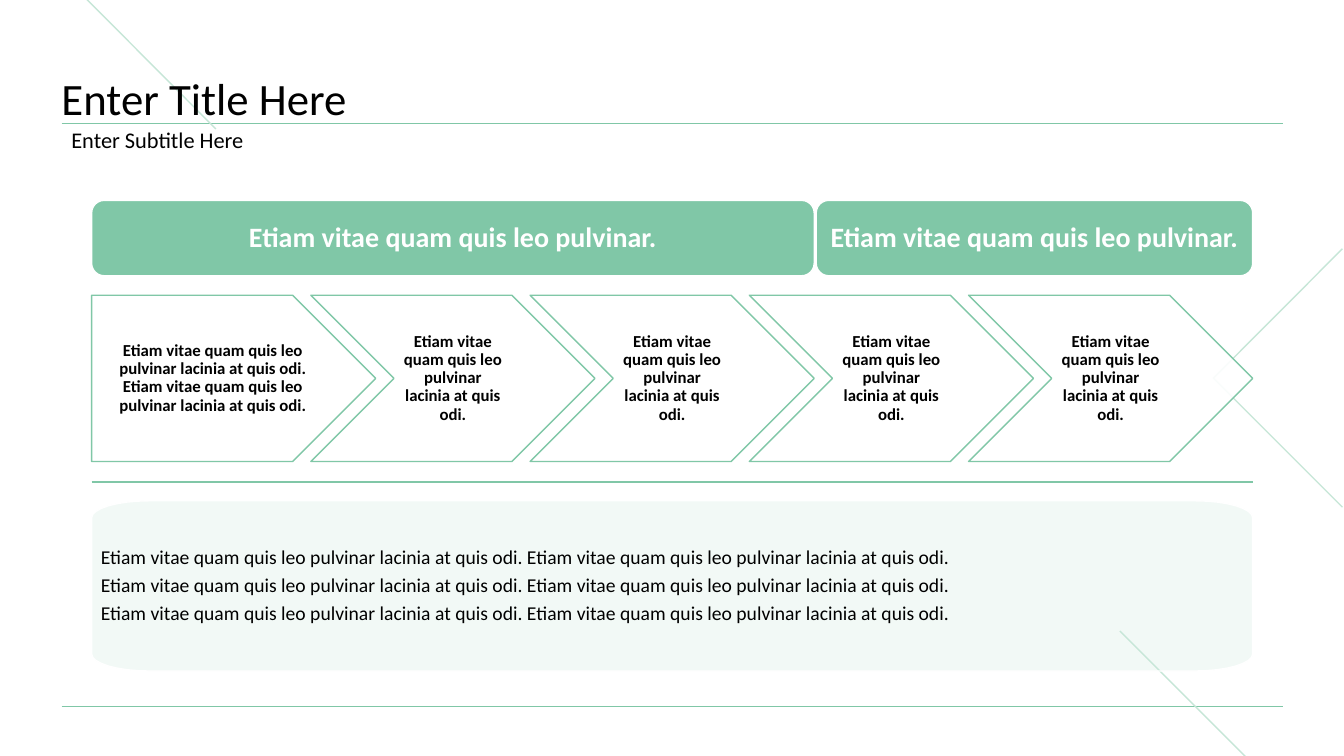
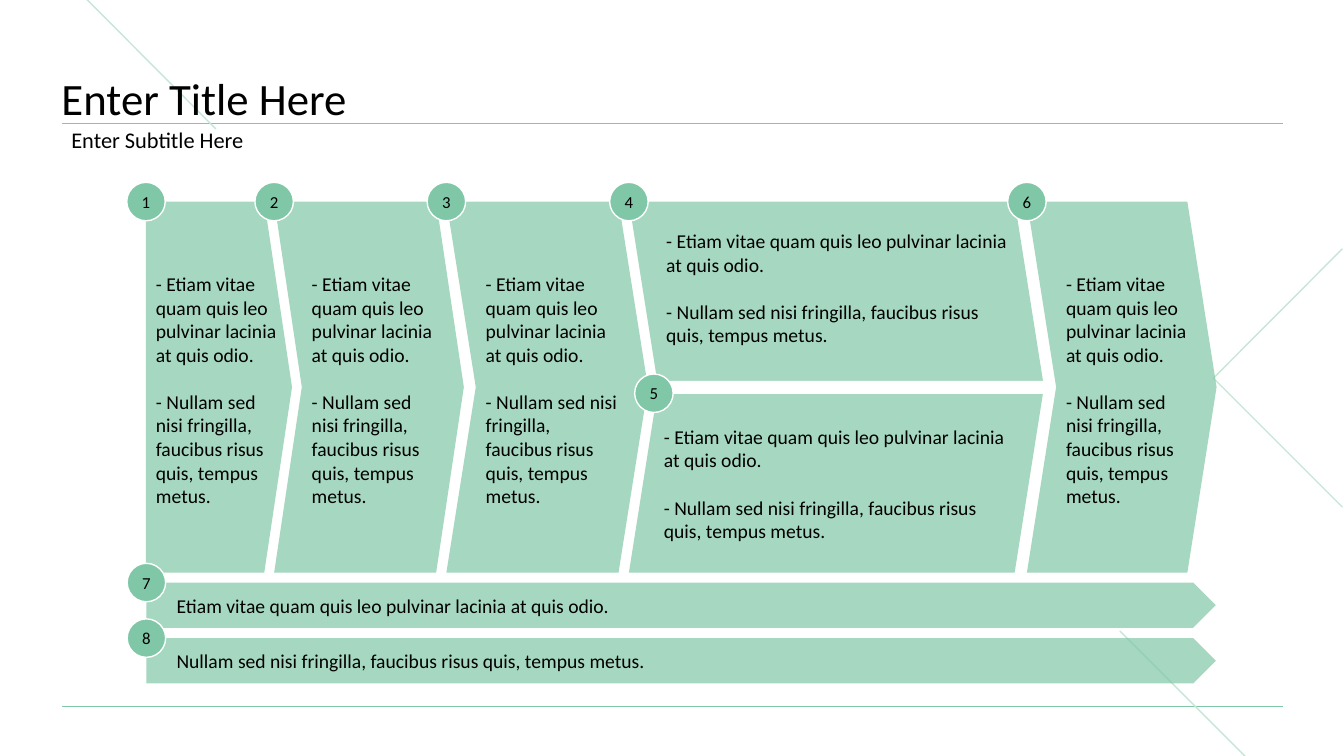
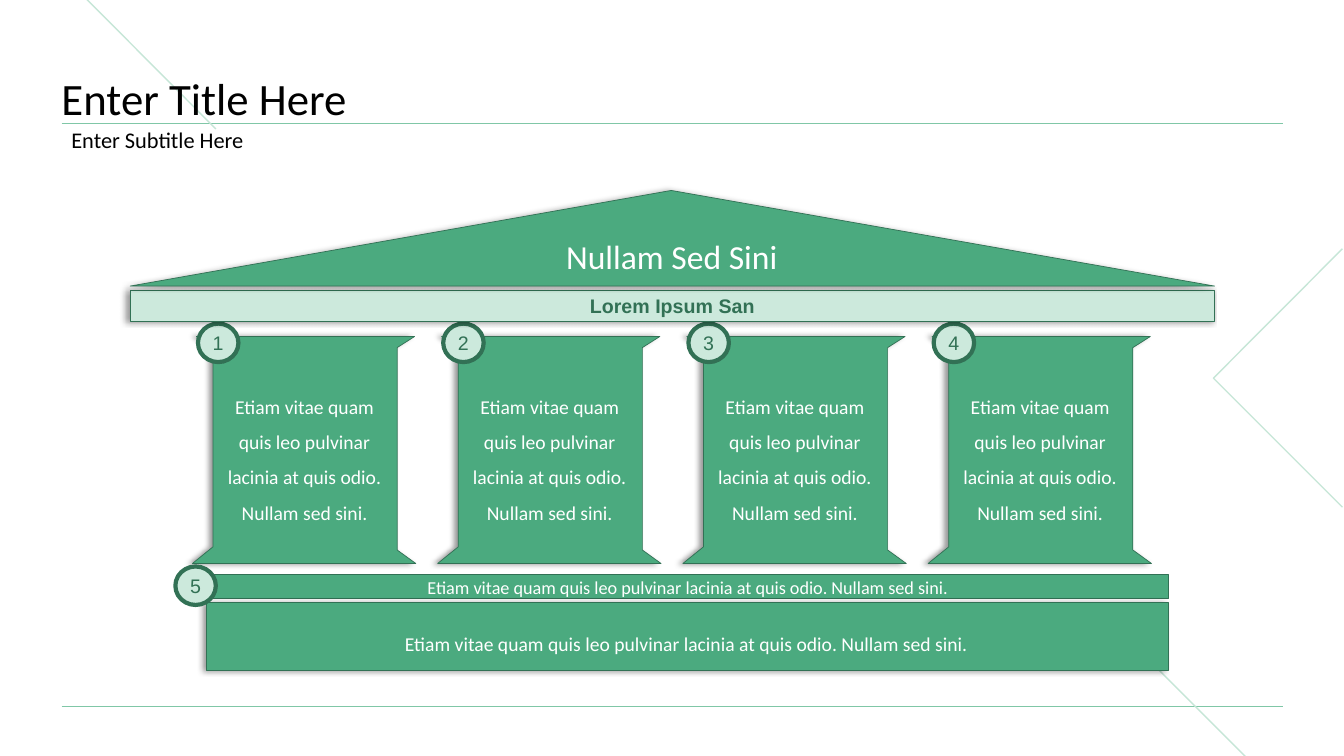
from math import cos, pi, sin

from lxml.etree import SubElement
from pptx import Presentation
from pptx.dml.color import RGBColor as RGB
from pptx.enum.shapes import MSO_CONNECTOR as LINK, MSO_SHAPE as KIND
from pptx.enum.text import MSO_ANCHOR as ANCHOR, PP_ALIGN as ALIGN
from pptx.oxml.ns import qn
from pptx.util import Cm, Pt

GREEN = RGB(0x80, 0xC7, 0xA7)
DEEP = RGB(0x4B, 0xAA, 0x7F)
DARK = RGB(0x32, 0x71, 0x55)
PALE = RGB(0xCC, 0xE9, 0xDC)
FAINT = RGB(0xC6, 0xE6, 0xD7)
WHITE = RGB(0xFF, 0xFF, 0xFF)
BLACK = RGB(0, 0, 0)

LEFT, MID = ALIGN.LEFT, ALIGN.CENTER
TOP, CENTRE, BOTTOM = ANCHOR.TOP, ANCHOR.MIDDLE, ANCHOR.BOTTOM

ETIAM = "Etiam vitae quam quis leo pulvinar"
ODI = ETIAM + " lacinia at quis odi."
ODIO = ETIAM + " lacinia at quis odio."
NULLAM = "Nullam sed nisi fringilla, faucibus risus quis, tempus metus."
SINI = ODIO + " Nullam sed sini."
NOTES = ["- " + ODIO, "- " + NULLAM]


# Basic parts; all lengths are in centimetres
def put(shape, text, size=14, color=BLACK, font="Calibri", bold=False,
        align=LEFT, anchor=CENTRE, inset=(0.25, 0.13, 0.25, 0.13),
        lead=1.0, gap=0, wrap=True):
    """Fill a shape with one paragraph, or with a list of them gap points apart."""
    frame = shape.text_frame
    frame.word_wrap = wrap
    frame.vertical_anchor = anchor
    (frame.margin_left, frame.margin_top,
     frame.margin_right, frame.margin_bottom) = map(Cm, inset)
    lines = [text] if isinstance(text, str) else text
    for i, line in enumerate(lines):
        para = frame.add_paragraph() if i else frame.paragraphs[0]
        para.alignment = align
        para.line_spacing = lead
        para.space_before = Pt(gap if i else 0)
        run = para.add_run()
        run.text = line
        run.font.size = Pt(size)
        run.font.name = font
        run.font.bold = bold
        run.font.color.rgb = color
    return shape


def paint(shape, fill=None, alpha=100, line=None, width=1, shade=False):
    shape.shadow.inherit = False
    if fill is None:
        shape.fill.background()
    else:
        shape.fill.solid()
        shape.fill.fore_color.rgb = fill
    if line is None:
        shape.line.fill.background()
    else:
        shape.line.color.rgb = line
        shape.line.width = Pt(width)
    props = shape.element.spPr
    if alpha < 100:
        tint = props.find(qn("a:solidFill")).find(qn("a:srgbClr"))
        SubElement(tint, qn("a:alpha"), val=str(alpha * 1000))
    if shade:
        cast = SubElement(props.find(qn("a:effectLst")), qn("a:outerShdw"),
                          blurRad=str(Pt(4)), dist=str(Pt(3)),
                          dir="10800000", algn="r", rotWithShape="0")
        tone = SubElement(cast, qn("a:srgbClr"), val="000000")
        SubElement(tone, qn("a:alpha"), val="40000")
    return shape


def block(slide, kind, x, y, w, h, adj=None, **look):
    shape = slide.shapes.add_shape(kind, Cm(x), Cm(y), Cm(w), Cm(h))
    if adj is not None:
        shape.adjustments[0] = adj
    return paint(shape, **look)


def label(slide, text, x, y, w, h, **form):
    box = slide.shapes.add_textbox(Cm(x), Cm(y), Cm(w), Cm(h))
    return put(box, text, **form)


def rule(slide, x1, y1, x2, y2, color=GREEN, width=0.5):
    line = slide.shapes.add_connector(LINK.STRAIGHT, Cm(x1), Cm(y1), Cm(x2), Cm(y2))
    line.line.color.rgb = color
    line.line.width = Pt(width)
    SubElement(line.element.spPr, qn("a:effectLst"))


def trace(slide, points, close=True, **look):
    spots = [(Cm(x), Cm(y)) for x, y in points]
    pen = slide.shapes.build_freeform(*spots[0])
    pen.add_line_segments(spots[1:], close=close)
    return paint(pen.convert_to_shape(), **look)


def badge(slide, text, cx, cy, w=0.97, h=0.97, fill=GREEN, line=WHITE, width=1, **form):
    dot = block(slide, KIND.OVAL, cx - w / 2, cy - h / 2, w, h,
                fill=fill, line=line, width=width)
    put(dot, text, align=MID, inset=(0, 0, 0, 0), **form)


# Shared frame: rules, slanted lines, title and subtitle
def base(deck):
    slide = deck.slides.add_slide(deck.slide_layouts[6])
    x, w = 1.55, 30.78
    for y in (17.81, 3.12):
        rule(slide, x, y, x + w, y)
    rule(slide, 28.22, 15.9, 32.97, 20.65, FAINT, 1)
    rule(slide, 0.71, -1.5, 5.44, 3.25, FAINT, 1)
    trace(slide, [(33.83, 6.27), (30.58, 9.53), (33.83, 12.78)], close=False, line=FAINT)
    label(slide, "Enter Title Here", x, 1.12, w, 2.03, size=32,
          anchor=BOTTOM, inset=(0, 0, 0, 0), lead=0.9)
    label(slide, "Enter Subtitle Here", x, 3.12, w, 0.86, size=16, lead=0.9)
    return slide


# Slide 1: phase headings, row of arrows, summary panel
def heads(slide, x, y, w, h):
    first, gap = 18.21, 0.05
    for left, wide in ((x, first), (x + first + gap, w - first - gap)):
        bar = block(slide, KIND.ROUNDED_RECTANGLE, left, y, wide, h,
                    fill=GREEN, line=WHITE)
        put(bar, ETIAM + ".", size=20, color=WHITE, bold=True, align=MID,
            inset=(0.23, 0.18, 0.23, 0.18), lead=0.9)


def steps(slide, x, y, w, h, count=5):
    wide = 7.16
    pitch = (w - wide) / (count - 1)
    for i in range(count):
        kind = KIND.CHEVRON if i else KIND.PENTAGON
        arrow = block(slide, kind, x + i * pitch, y, wide, h,
                      fill=WHITE, alpha=90, line=GREEN)
        put(arrow, ODI if i else f"{ODI} {ODI}", size=12, bold=True, align=MID,
            inset=(0.2, 0.17, 0.2, 0.17), lead=0.9)


def panel(slide, x, y, w, h, rx=1.45, ry=0.43, parts=8):
    # Elliptical corners, clockwise from the top left
    hubs = [(x + rx, y + ry), (x + w - rx, y + ry),
            (x + w - rx, y + h - ry), (x + rx, y + h - ry)]
    points = []
    for turn, (cx, cy) in enumerate(hubs, 2):
        for i in range(parts + 1):
            angle = (turn + i / parts) * pi / 2
            points.append((cx + rx * cos(angle), cy + ry * sin(angle)))
    shape = trace(slide, points, fill=PALE, alpha=24, line=WHITE)
    put(shape, [f"{ODI} {ODI}"] * 3, inset=(0.23, 0.18, 0.23, 0.18), lead=0.9, gap=4.9)


def phases(deck):
    slide = base(deck)
    x, w = 2.31, 29.26
    heads(slide, x, 5.05, w, 1.9)
    steps(slide, x, 7.44, w, 4.19)
    panel(slide, x, 12.62, w, 4.29)
    rule(slide, x, 12.14, x + w, 12.14, width=1.5)


# Slide 2: numbered columns above two long arrows
def columns(slide, x, y, w, h):
    # number, left offset, width, point depth
    cols = [("1", 0, 3.68, 0.19), ("2", 3.23, 4.78, 0.146), ("3", 7.57, 5.08, 0.146),
            ("4", 12.17, 10.46, 0.079), ("6", 22.2, w - 22.2, 0.154)]
    for mark, dx, wide, adj in cols:
        kind = KIND.PENTAGON if mark == "1" else KIND.CHEVRON
        shape = block(slide, kind, x + dx, y, wide, h, adj, fill=GREEN, alpha=70)
        if mark != "4":
            put(shape, NOTES, inset=(0.25, 0.13, 0, 0), gap=17)
    # Column four is split in two
    block(slide, KIND.RECTANGLE, x + 12.83, y + 4.52, 9.91, 0.33, fill=WHITE)
    for mark, dx, *_ in cols:
        badge(slide, mark, x + dx, y, size=12)
    badge(slide, "5", x + 12.8, y + 4.83, size=12)
    for dx, dy in ((12.86, 0.56), (12.8, 5.49)):
        label(slide, NOTES, x + dx, y + dy, 9.35, 3.43, anchor=TOP, gap=17)


def lanes(slide, x, y, w, h):
    high, pitch = 1.14, h - 1.14
    texts = [("7", ODIO), ("8", NULLAM)]
    for i, (mark, text) in enumerate(texts):
        top = y + i * pitch
        lane = block(slide, KIND.PENTAGON, x, top, w, high, fill=GREEN, alpha=70)
        put(lane, text, inset=(0.76, 0, 0, 0))
    for i, (mark, text) in enumerate(texts):
        badge(slide, mark, x, y + i * pitch, size=12)


def stages(deck):
    slide = base(deck)
    columns(slide, 3.68, 5.08, 26.98, 9.35)
    lanes(slide, 3.69, 14.68, 26.95, 2.54)


# Slide 3: temple with roof, pillars and plinth
STONE = dict(fill=DEEP, line=DARK, width=0.5)
COIN = dict(w=1.02, fill=PALE, line=DARK, width=3, color=DARK, font="Arial")


def pillar(slide, mark, x, y, w, h):
    edge = [(0.1, 0), (w - 0.03, 0), (w - 0.47, 0.28), (w - 0.47, h - 0.34),
            (w, h), (0, h), (0.52, h - 0.42), (0.52, 0.28)]
    trace(slide, [(x + dx, y + dy) for dx, dy in edge], shade=True, **STONE)
    label(slide, SINI, x + 0.48, y + 0.23, w - 0.94, h - 0.28, color=WHITE,
          align=MID, inset=(0.25, 0, 0.25, 0), lead=1.5)
    badge(slide, mark, x + 0.65, y + 0.16, **COIN)


def roof(slide, x, y, w, h):
    beam = 0.79
    block(slide, KIND.RECTANGLE, x, y + h - beam, w, beam,
          fill=PALE, line=DARK, width=0.5, shade=True)
    block(slide, KIND.ISOSCELES_TRIANGLE, x, y, w, 2.41, 0.499, shade=True, **STONE)
    label(slide, "Nullam Sed Sini", x + 1.98, y + 0.51, w - 3.99, 1.63, size=24,
          color=WHITE, align=MID, anchor=TOP, lead=1.5)
    label(slide, "Lorem Ipsum San", x + 0.15, y + h - 0.72, w - 0.3, 0.61, color=DARK,
          font="Arial", bold=True, align=MID, inset=(0.03, 0, 0.03, 0))


def plinth(slide, x, y, w, h):
    step = block(slide, KIND.RECTANGLE, x, y, w, 0.61, **STONE)
    put(step, SINI, size=13, color=WHITE, align=MID, inset=(0, 0, 0, 0.25),
        lead=1.5, wrap=False)
    foot = 1.7
    block(slide, KIND.RECTANGLE, x, y + h - foot, w, foot, shade=True, **STONE)
    badge(slide, "5", x - 0.28, y + 0.28, **COIN)
    label(slide, SINI, x + 0.05, y + h - 1.57, w - 0.15, 1.5, color=WHITE,
          align=MID, inset=(0, 0, 0, 0), lead=1.5)


def temple(deck):
    slide = base(deck)
    for i in range(4):
        pillar(slide, str(i + 1), 4.85 + i * 6.18, 8.48, 5.63, 5.72)
    roof(slide, 3.28, 4.8, 27.33, 3.31)
    plinth(slide, 5.21, 14.48, 24.23, 2.41)


deck = Presentation()
deck.slide_width, deck.slide_height = Cm(33.87), Cm(19.05)
for build in (phases, stages, temple):
    build(deck)
deck.save("out.pptx")
